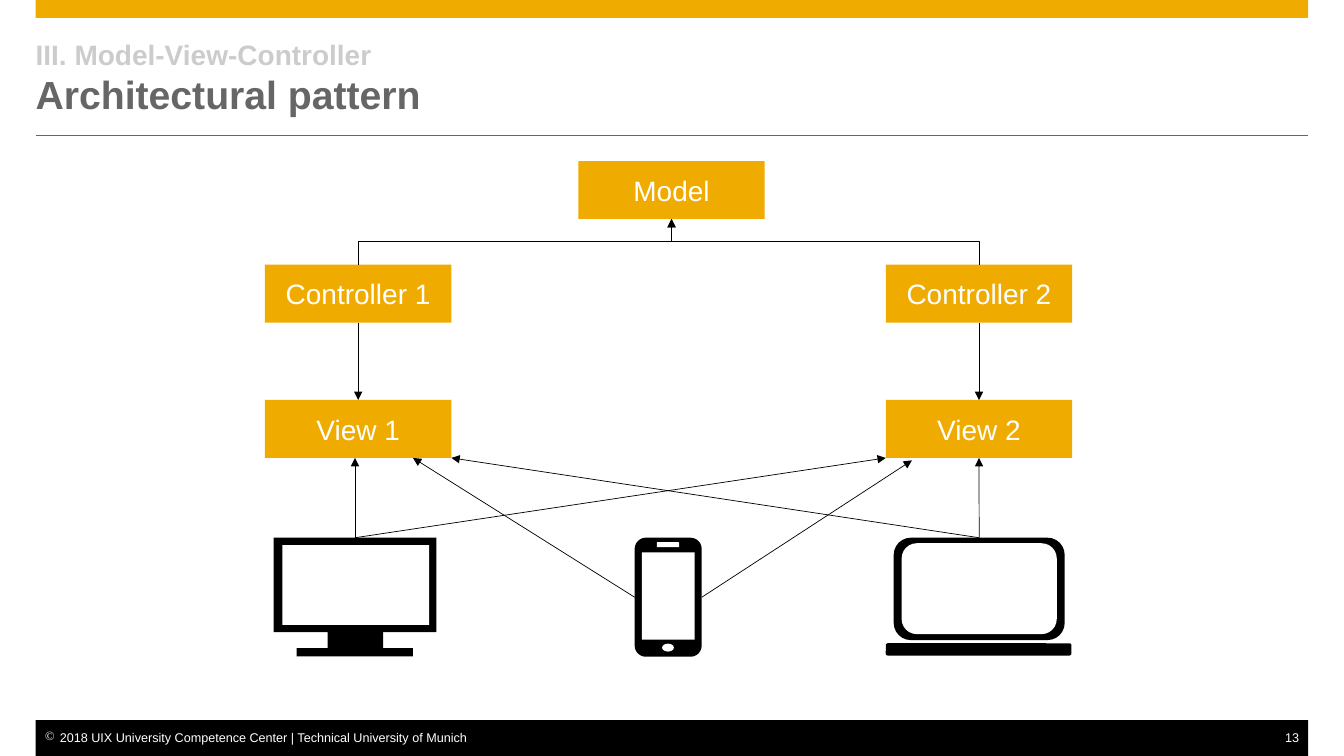
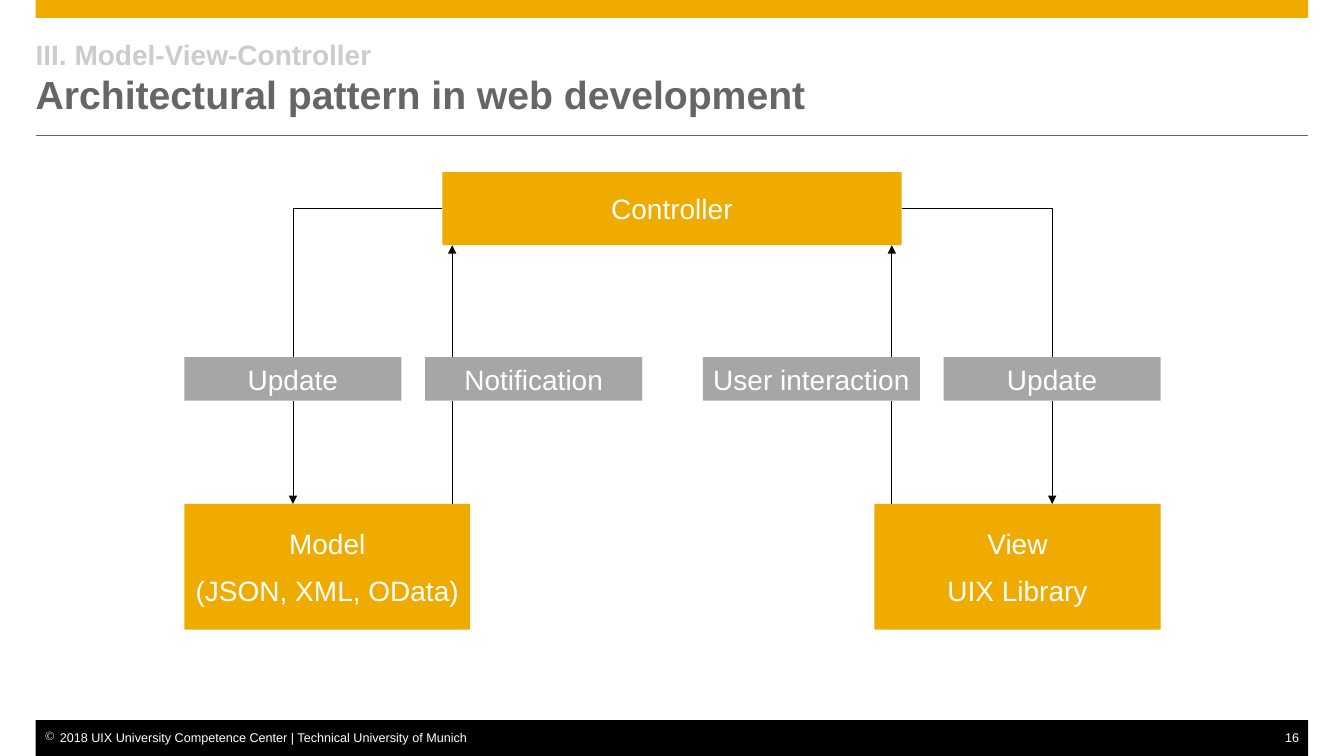
import pptx
import pptx.dml.color
import pptx.enum.shapes
import pptx.enum.text
import pptx.oxml
import pptx.oxml.ns
import pptx.util

Cm = pptx.util.Cm
Pt = pptx.util.Pt
RGB = pptx.dml.color.RGBColor
SHAPE = pptx.enum.shapes.MSO_SHAPE
CONNECTOR = pptx.enum.shapes.MSO_CONNECTOR
ALIGN = pptx.enum.text.PP_ALIGN
ANCHOR = pptx.enum.text.MSO_ANCHOR
qn = pptx.oxml.ns.qn

GOLD = RGB(0xF0, 0xAB, 0x00)
BLACK = RGB(0x00, 0x00, 0x00)
WHITE = RGB(0xFF, 0xFF, 0xFF)
DARK_GRAY = RGB(0x66, 0x66, 0x66)
MID_GRAY = RGB(0xA6, 0xA6, 0xA6)
LIGHT_GRAY = RGB(0xCC, 0xCC, 0xCC)

WIDTH, HEIGHT = 33.88, 19.05
MARGIN, BODY = 0.9, 32.08
TOP, BOTTOM, LEFT, RIGHT = 0, 2, 1, 3

SECTION = "III. Model-View-Controller"
COPYRIGHT = "2018 UIX University Competence Center | Technical University of Munich"

KICKER = {"size": Pt(20), "bold": True, "color": LIGHT_GRAY}
HEADING = {"size": Pt(28), "bold": True, "color": DARK_GRAY}
LABEL = {"size": Pt(20), "color": WHITE}
FOOTER = {"size": Pt(9), "color": WHITE}


def element(tag, **attrs):
    el = pptx.oxml.parse_xml(f"<a:{tag} {pptx.oxml.ns.nsdecls('a')}/>")
    for name, value in attrs.items():
        el.set(name, str(value))
    return el


class Deck:
    font = "Arial"
    line_width = Pt(0.5)

    def __init__(self):
        self.prs = pptx.Presentation()
        self.prs.slide_width = Cm(WIDTH)
        self.prs.slide_height = Cm(HEIGHT)
        self.s = None

    def slide(self, title, number):
        self.s = self.prs.slides.add_slide(self.prs.slide_layouts[6])
        self.shape(MARGIN, 0, BODY, 0.45, GOLD)
        self.line((MARGIN, 3.42), (MARGIN + BODY, 3.42), color=DARK_GRAY, arrow=None)
        self.shape(MARGIN, 18.15, BODY, 0.9, BLACK)

        p = self.text(MARGIN, 18.4, 16, 0.4, margin_left=Cm(0.23))
        pPr = p._p.get_or_add_pPr()
        pPr.set("marL", str(Cm(0.38)))
        pPr.set("indent", str(Cm(-0.38)))
        bullet_color = element("buClr")
        bullet_color.append(element("srgbClr", val=WHITE))
        pPr.append(bullet_color)
        pPr.append(element("buChar", char="©"))
        self.run(p, COPYRIGHT, FOOTER)

        p = self.text(MARGIN + BODY - 2, 18.4, 2, 0.4, margin_right=Cm(0.23))
        p.alignment = ALIGN.RIGHT
        self.run(p, str(number), FOOTER)

        p = self.text(MARGIN, 0.9, BODY, 2.1, vertical_anchor=ANCHOR.MIDDLE)
        self.run(p, SECTION, KICKER)
        p.add_line_break()
        self.run(p, title, HEADING)

    def frame(self, tf, **formats):
        margins = {f"margin_{side}": 0 for side in ("left", "top", "right", "bottom")}
        for name, value in {"word_wrap": True, **margins, **formats}.items():
            setattr(tf, name, value)

    def text(self, x, y, w, h, **formats):
        tf = self.s.shapes.add_textbox(Cm(x), Cm(y), Cm(w), Cm(h)).text_frame
        self.frame(tf, **formats)
        return tf.paragraphs[0]

    def run(self, p, text, style):
        r = p.add_run()
        r.text = text
        r.font.name = self.font
        for name, value in style.items():
            if name == "color":
                r.font.color.rgb = value
            else:
                setattr(r.font, name, value)

    def shape(self, x, y, w, h, fill, kind=SHAPE.RECTANGLE):
        sp = self.s.shapes.add_shape(kind, Cm(x), Cm(y), Cm(w), Cm(h))
        sp.shadow.inherit = False
        sp.fill.solid()
        sp.fill.fore_color.rgb = fill
        sp.line.fill.background()
        return sp

    def box(self, x, y, w, h, *lines, fill=GOLD):
        sp = self.shape(x, y, w, h, fill)
        tf = sp.text_frame
        self.frame(tf, vertical_anchor=ANCHOR.MIDDLE)
        for i, text in enumerate(lines):
            p = tf.add_paragraph() if i else tf.paragraphs[0]
            p.alignment = ALIGN.CENTER
            if i:
                p.space_before = Pt(10)
            self.run(p, text, LABEL)
        return sp

    def line(self, start, end, color=BLACK, arrow="tailEnd", kind=CONNECTOR.STRAIGHT):
        joined = [hasattr(target, "shape_id") for target, _ in (start, end)]
        points = [Cm(0) if glued else Cm(v)
                  for spot, glued in zip((start, end), joined) for v in spot]
        c = self.s.shapes.add_connector(kind, *points)
        if joined[0]:
            c.begin_connect(*start)
        if joined[1]:
            c.end_connect(*end)
        c.line.color.rgb = color
        c.line.width = self.line_width
        spPr = c._element.spPr
        if arrow:
            spPr.find(qn("a:ln")).append(element(arrow, type="triangle"))
        spPr.append(element("effectLst"))
        return c

    def corner(self, start, end):
        c = self.line(start, end, arrow=None, kind=CONNECTOR.ELBOW)
        c._element.spPr.find(qn("a:prstGeom")).set("prst", "bentConnector2")

    def branch(self, start, end):
        c = self.line(start, end, arrow="headEnd", kind=CONNECTOR.ELBOW)
        x, y, w, h = c.left, c.top, c.width, c.height
        xfrm = c._element.spPr.find(qn("a:xfrm"))
        if xfrm.attrib.pop("flipH", None) is None:
            xfrm.set("flipV", "1")
        xfrm.set("rot", "5400000")
        c.left, c.top = x + (w - h) // 2, y + (h - w) // 2
        c.width, c.height = h, w


def pattern_slide(deck):
    deck.slide("Architectural pattern", 13)
    w, h = 4.7, 1.46
    left, right, view_y = 6.68, 22.33, 10.08
    model = deck.box(14.58, 4.06, w, h, "Model")
    views = []
    for i, x in enumerate((left, right), 1):
        controller = deck.box(x, 6.67, w, h, f"Controller {i}")
        view = deck.box(x, view_y, w, h, f"View {i}")
        deck.branch((model, BOTTOM), (controller, TOP))
        deck.line((controller, BOTTOM), (view, TOP))
        views.append(view)

    device_y = 13.55
    desktop = deck.shape(6.9, device_y, 4.1, 2.38, BLACK)
    deck.shape(7.12, 13.74, 3.7, 2.01, WHITE)
    deck.shape(8.26, 15.92, 1.4, 0.41, BLACK)
    deck.shape(7.48, 16.33, 2.93, 0.21, BLACK)

    rounded = SHAPE.ROUNDED_RECTANGLE
    phone = deck.shape(16, device_y, 1.69, 3, BLACK, rounded)
    deck.shape(16.18, 13.92, 1.33, 2.2, WHITE)
    deck.shape(16.69, 16.22, 0.3, 0.2, WHITE, SHAPE.OVAL)
    deck.shape(16.56, 13.66, 0.56, 0.13, WHITE, rounded)

    laptop = deck.shape(22.53, device_y, 4.31, 2.58, BLACK, rounded)
    deck.shape(right, 16.21, 4.68, 0.31, BLACK, rounded)
    deck.shape(22.73, 13.69, 3.91, 2.29, WHITE, rounded)

    view_bottom = view_y + h
    for start, end in (
        ((desktop, TOP), (8.95, view_bottom)),
        ((desktop, TOP), (right, view_bottom)),
        ((laptop, TOP), (views[1], BOTTOM)),
        ((laptop, TOP), (left + w, view_bottom)),
        ((phone, LEFT), (10.41, view_bottom)),
        ((phone, RIGHT), (22.99, view_bottom + 0.06)),
    ):
        deck.line(start, end)


def web_slide(deck):
    deck.slide("Architectural pattern in web development", 16)
    top, bottom, block_y = 4.34, 6.18, 12.7
    controller = deck.box(11.15, top, 11.58, bottom - top, "Controller")
    deck.box(4.65, block_y, 7.2, 3.17, "Model", "(JSON, XML, OData)")
    deck.box(22.04, block_y, 7.22, 3.17, "View", "UIX Library")

    label_y, w, h = 9, 5.47, 1.1
    for x, text, side in ((4.65, "Update", LEFT), (23.79, "Update", RIGHT)):
        label = deck.box(x, label_y, w, h, text, fill=MID_GRAY)
        deck.corner((controller, side), (label, TOP))
        deck.line((label, BOTTOM), (x + w / 2, block_y))
    for x, text, line_x in ((10.72, "Notification", 11.4), (17.72, "User interaction", 22.48)):
        deck.box(x, label_y, w, h, text, fill=MID_GRAY)
        deck.line((line_x, label_y), (line_x, bottom))
        deck.line((line_x, label_y + h), (line_x, block_y), arrow=None)


def main():
    deck = Deck()
    pattern_slide(deck)
    web_slide(deck)
    deck.prs.save("out.pptx")


if __name__ == "__main__":
    main()
